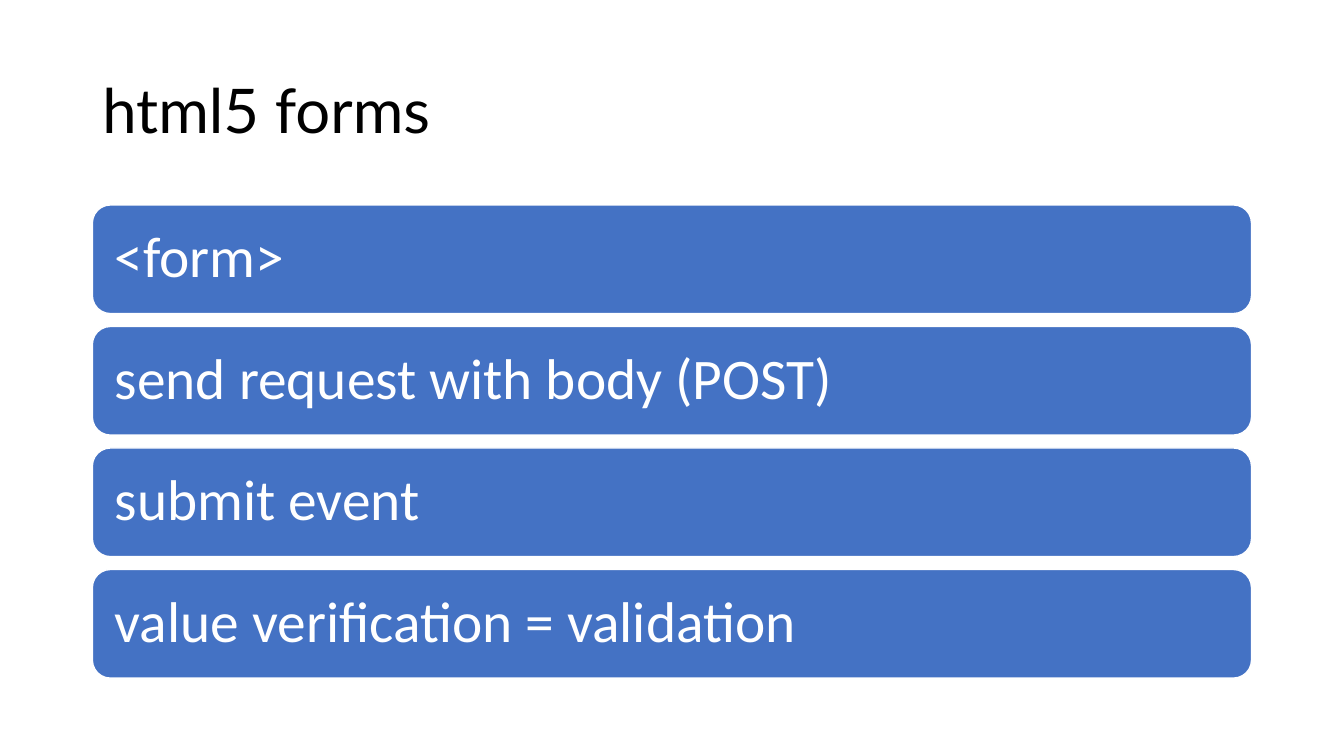
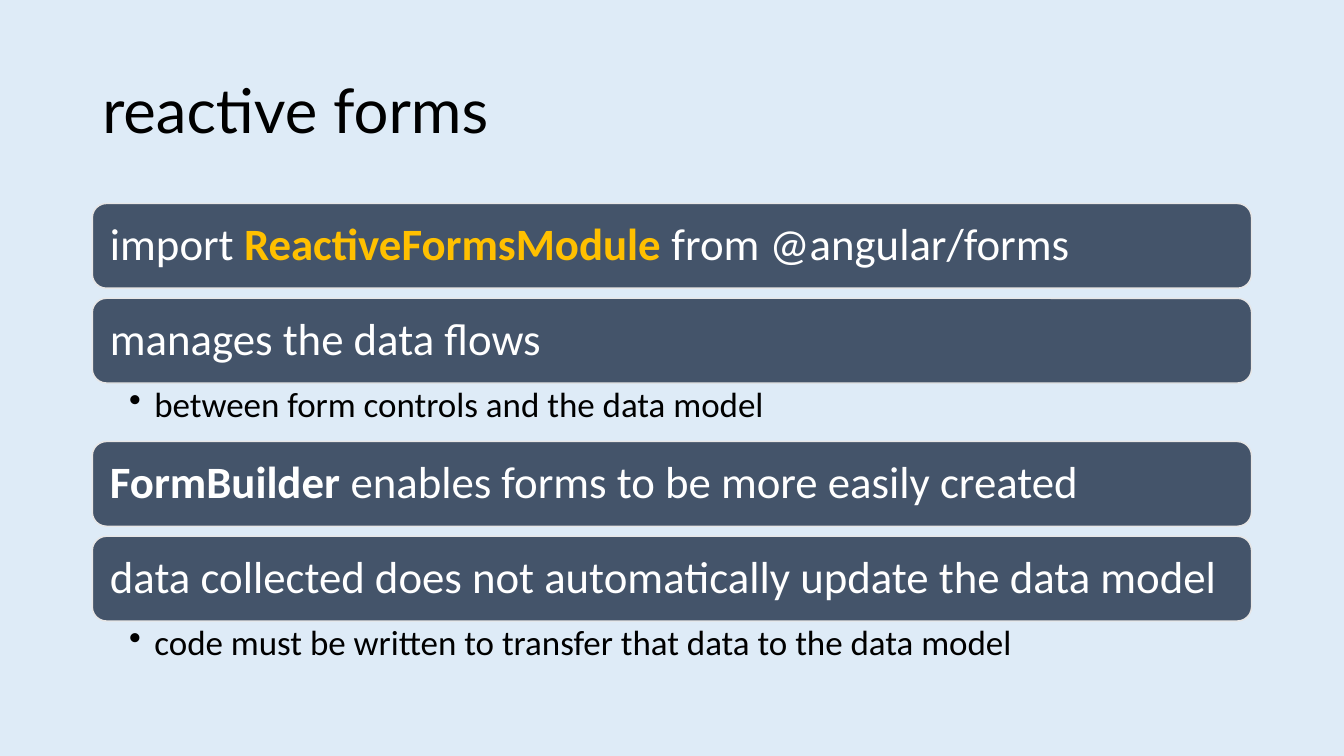
from dataclasses import dataclass
from typing import NamedTuple

from lxml.etree import SubElement
from pptx import Presentation
from pptx.dml.color import RGBColor
from pptx.enum.shapes import MSO_SHAPE as Preset
from pptx.enum.text import MSO_ANCHOR as Anchor, PP_ALIGN as Align
from pptx.oxml.ns import qn
from pptx.util import Pt

COLORS = {
    "white": "FFFFFF",
    "black": "000000",
    "blue": "4472C4",
    "slate": "44546A",
    "pale_blue": "DEEBF7",
    "pale_gray": "E7E6E6",
    "gold": "FFC000",
}
HEADING_FONT, BODY_FONT = "Lato", "Calibri"
SLIDE_WIDTH, SLIDE_HEIGHT = 960, 540
LEFT, WIDTH = 66, 828
TITLE_TOP, TITLE_HEIGHT = 28.75, 104.4
NOTE_HEIGHT, NOTE_SIZE, NOTE_INDENT = 41.8, 25, 18


class Run(NamedTuple):
    text: str
    bold: bool = False
    color: str | None = None


class Point(NamedTuple):
    runs: list[Run]
    note: str | None = None


@dataclass(frozen=True)
class BarStyle:
    fill: str
    outline: str
    top: float
    height: float
    gap: float
    size: float
    inset: float


@dataclass(frozen=True)
class Topic:
    title: str
    background: str
    style: BarStyle
    points: list[Point]


BLUE_BARS = BarStyle("blue", "white", 146.4, 77.6, 9.2, 41, 12.3)
SLATE_BARS = BarStyle("slate", "pale_gray", 145.4, 60.5, 7.2, 32, 9.6)

TOPICS = [
    Topic("html5 forms", "white", BLUE_BARS, [
        Point([Run("<form>")]),
        Point([Run("send request with body (POST)")]),
        Point([Run("submit event")]),
        Point([Run("value verification = validation")]),
    ]),
    Topic("reactive forms", "pale_blue", SLATE_BARS, [
        Point([Run("import "), Run("ReactiveFormsModule", True, "gold"),
               Run(" from @angular/forms")]),
        Point([Run("manages the data flows")],
              "between form controls and the data model"),
        Point([Run("FormBuilder", True),
               Run(" enables forms to be more easily created")]),
        Point([Run("data collected does not automatically update the data model")],
              "code must be written to transfer that data to the data model"),
    ]),
]


def rgb(name: str) -> RGBColor:
    return RGBColor.from_string(COLORS[name])


def write_text(shape, runs: list[Run], *, size: float, color: str,
               font: str = BODY_FONT, anchor=Anchor.MIDDLE,
               insets: tuple[float, float, float, float] = (7.2, 3.6, 7.2, 3.6)):
    """Fill a shape with one paragraph; insets run left, top, right, bottom."""
    frame = shape.text_frame
    frame.word_wrap = True
    frame.vertical_anchor = anchor
    (frame.margin_left, frame.margin_top,
     frame.margin_right, frame.margin_bottom) = map(Pt, insets)
    paragraph = frame.paragraphs[0]
    paragraph.alignment = Align.LEFT
    paragraph.line_spacing = 0.9
    for part in runs:
        run = paragraph.add_run()
        run.text = part.text
        run.font.name = font
        run.font.size = Pt(size)
        run.font.bold = part.bold
        run.font.color.rgb = rgb(part.color or color)
    return paragraph


def add_box(slide, top: float, height: float):
    return slide.shapes.add_textbox(Pt(LEFT), Pt(top), Pt(WIDTH), Pt(height))


def add_bar(slide, runs: list[Run], top: float, style: BarStyle) -> None:
    bar = slide.shapes.add_shape(Preset.ROUNDED_RECTANGLE, Pt(LEFT), Pt(top),
                                 Pt(WIDTH), Pt(style.height))
    bar.shadow.inherit = False
    bar.fill.solid()
    bar.fill.fore_color.rgb = rgb(style.fill)
    bar.line.color.rgb = rgb(style.outline)
    bar.line.width = Pt(1)
    write_text(bar, runs, size=style.size, color="white",
               insets=(style.inset,) * 4)


def add_note(slide, text: str, top: float) -> None:
    paragraph = write_text(add_box(slide, top, NOTE_HEIGHT), [Run(text)],
                           size=NOTE_SIZE, color="black", anchor=Anchor.TOP,
                           insets=(26.3, 2.9, 18, 2.9))
    properties = paragraph._p.get_or_add_pPr()
    properties.set("marL", str(Pt(NOTE_INDENT)))
    properties.set("indent", str(-Pt(NOTE_INDENT)))
    SubElement(properties, qn("a:buChar"), char="•")


def add_topic(deck, topic: Topic) -> None:
    slide = deck.slides.add_slide(deck.slide_layouts[6])
    slide.background.fill.solid()
    slide.background.fill.fore_color.rgb = rgb(topic.background)
    write_text(add_box(slide, TITLE_TOP, TITLE_HEIGHT), [Run(topic.title)],
               size=44, color="black", font=HEADING_FONT)
    top = topic.style.top
    for point in topic.points:
        add_bar(slide, point.runs, top, topic.style)
        top += topic.style.height
        if point.note:
            add_note(slide, point.note, top)
            top += NOTE_HEIGHT
        else:
            top += topic.style.gap


def main() -> None:
    deck = Presentation()
    deck.slide_width, deck.slide_height = Pt(SLIDE_WIDTH), Pt(SLIDE_HEIGHT)
    for topic in TOPICS:
        add_topic(deck, topic)
    deck.save("out.pptx")


if __name__ == "__main__":
    main()
